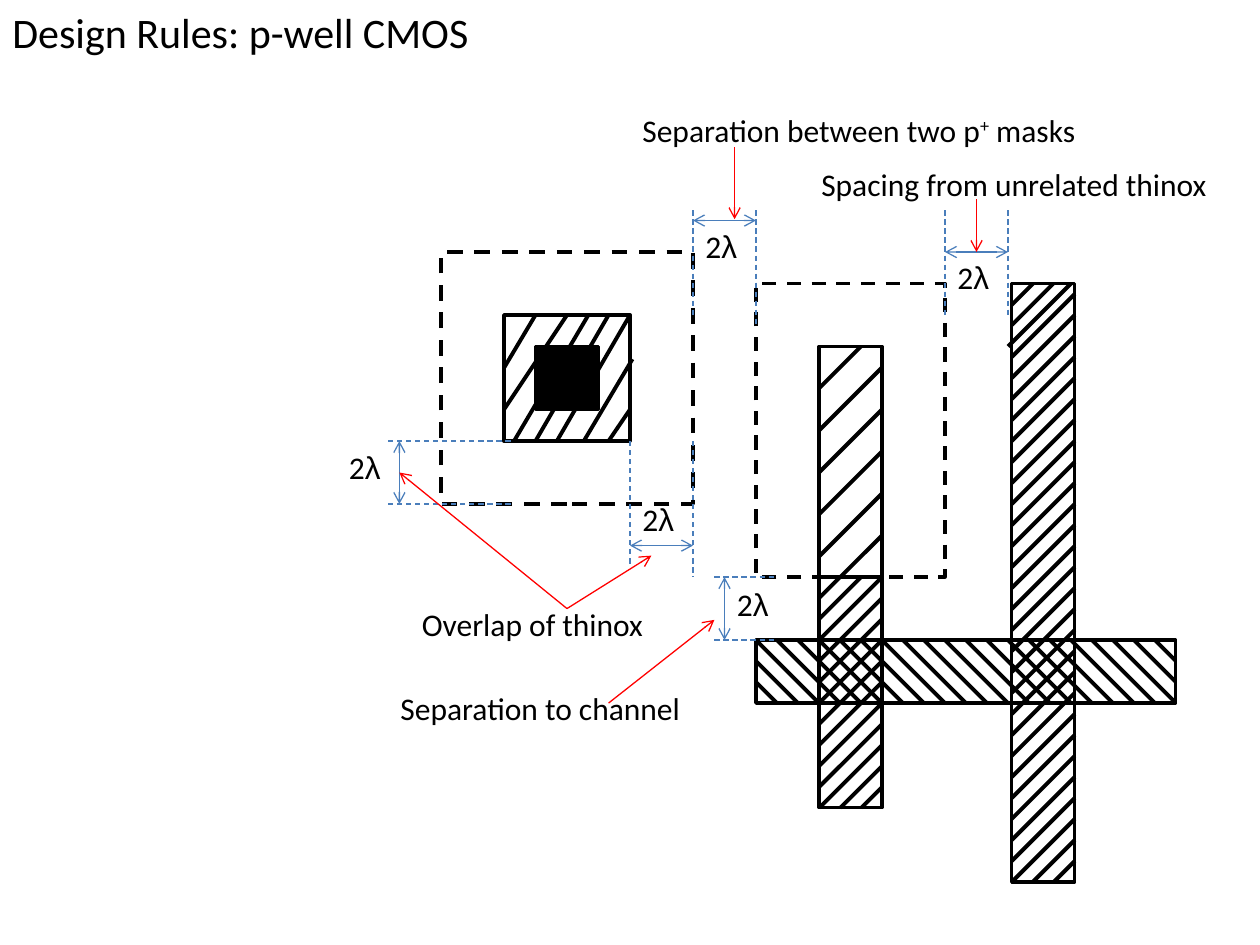
from typing import NamedTuple

from lxml import etree
from pptx import Presentation
from pptx.dml.color import RGBColor
from pptx.enum.dml import MSO_LINE_DASH_STYLE as Dash
from pptx.enum.shapes import MSO_CONNECTOR as Connector, MSO_SHAPE as Shape
from pptx.enum.text import MSO_AUTO_SIZE as AutoSize
from pptx.oxml.ns import qn
from pptx.util import Inches, Pt

COLORS = {"ink": "000000", "dimension": "4A7EBB", "callout": "FF0000"}
PITCH = 1 / 6


class Box(NamedTuple):
    left: float
    top: float
    width: float
    height: float


class Stroke(NamedTuple):
    color: str
    width: float
    dash: object = None
    head: bool = False
    tail: bool = False


class Line(NamedTuple):
    x1: float
    y1: float
    x2: float
    y2: float


class Span(NamedTuple):
    text: str
    font: str = "Calibri"
    baseline: int = 0


class Label(NamedTuple):
    box: Box
    spans: tuple[Span, ...]
    size: float = 18


class Bar(NamedTuple):
    box: Box
    first: float = PITCH
    pitch: float = PITCH
    falling: bool = False
    extra: tuple[Line, ...] = ()


HATCH = Stroke("ink", 2.25)
OUTLINE = Stroke("ink", 2)
GUIDE = Stroke("dimension", 0.75, Dash.DASH)
DIMENSION = Stroke("dimension", 0.75, head=True, tail=True)
CALLOUT = Stroke("callout", 0.75, tail=True)


def rgb(name: str) -> RGBColor:
    return RGBColor.from_string(COLORS[name])


def apply_stroke(line, stroke: Stroke) -> None:
    line.color.rgb = rgb(stroke.color)
    for name, value in {"width": Pt(stroke.width), "dash_style": stroke.dash}.items():
        setattr(line, name, value)


def draw_line(shapes, ends: Line, stroke: Stroke) -> None:
    connector = shapes.add_connector(Connector.STRAIGHT, *map(Inches, ends))
    apply_stroke(connector.line, stroke)
    properties = connector.line._get_or_add_ln()
    for tag, shown in (("a:headEnd", stroke.head), ("a:tailEnd", stroke.tail)):
        if shown:
            etree.SubElement(properties, qn(tag), type="arrow")
    etree.SubElement(connector._element.spPr, qn("a:effectLst"))


def draw_rectangle(shapes, box: Box, stroke: Stroke, fill: str = "") -> None:
    shape = shapes.add_shape(Shape.RECTANGLE, *map(Inches, box))
    shape.shadow.inherit = False
    if fill:
        shape.fill.solid()
        shape.fill.fore_color.rgb = rgb(fill)
    else:
        shape.fill.background()
    apply_stroke(shape.line, stroke)


def hatch_lines(bar: Bar) -> list[Line]:
    """Diagonals at 45 degrees, clipped to the bar."""
    left, top, width, height = bar.box
    lines = []
    offset = bar.first
    while offset < width + height - 0.05:
        down = min(offset, height)
        across = min(offset, width)
        y1, y2 = down, offset - across
        if bar.falling:
            y1, y2 = height - y1, height - y2
        lines.append(Line(left + offset - down, top + y1, left + across, top + y2))
        offset += bar.pitch
    return lines


def draw_group(shapes, box: Box, lines) -> None:
    group = shapes.add_group_shape()
    draw_rectangle(group.shapes, box, OUTLINE)
    for line in lines:
        draw_line(group.shapes, line, HATCH)


def draw_label(shapes, label: Label) -> None:
    frame = shapes.add_textbox(*map(Inches, label.box)).text_frame
    for name, value in {"word_wrap": True, "auto_size": AutoSize.SHAPE_TO_FIT_TEXT}.items():
        setattr(frame, name, value)
    para = frame.paragraphs[0]
    for span in label.spans:
        run = para.add_run()
        run.text = span.text
        for name, value in {"name": span.font, "size": Pt(label.size)}.items():
            setattr(run.font, name, value)
        run.font.color.rgb = rgb("ink")
        if span.baseline:
            run.font._element.set("baseline", str(span.baseline * 1000))


def two_lambda(left: float, top: float) -> Label:
    return Label(Box(left, top, 0.5, 0.4), (Span("2"), Span("λ", "Arial")))


CONTACT_LINES = (
    Line(4.42, 3.5, 5, 2.5), Line(4.25, 3.5, 4.83, 2.5), Line(4.08, 3.5, 4.67, 2.5),
    Line(4.64, 3.49, 5.02, 2.85), Line(4.83, 3.5, 5, 3.25),
    Line(4, 3.25, 4.5, 2.5), Line(4, 2.92, 4.25, 2.5),
)
BARS = (
    Bar(Box(6.5, 4.58, 0.5, 1.83)),
    Bar(Box(6.5, 2.75, 0.5, 1.83), first=2 * PITCH, pitch=2 * PITCH),
    Bar(Box(6, 5.08, 3.33, 0.5), falling=True),
    Bar(Box(8.03, 2.25, 0.5, 4.75), first=3.5 * PITCH, extra=(
        Line(8.03, 2.42, 8.2, 2.25), Line(8.03, 2.58, 8.36, 2.25),
        Line(8, 2.75, 8.5, 2.25))),
)
MASKS = ((Box(3.5, 2, 2, 2), 2.25), (Box(6, 2.25, 1.5, 2.33), 2))
GUIDES = (
    Line(5.5, 1.67, 5.5, 2.5), Line(6, 1.67, 6, 2.58),
    Line(3.08, 3.5, 4.08, 3.5), Line(3.08, 4, 4.08, 4),
    Line(5, 3.5, 5, 4.5), Line(5.5, 3.5, 5.5, 4.58),
    Line(5.67, 4.58, 6.17, 4.58), Line(5.67, 5.08, 6.17, 5.08),
    Line(7.5, 1.67, 7.5, 2.5), Line(8, 1.67, 8, 2.5),
)
DIMENSIONS = (
    Line(5.5, 1.75, 6, 1.75), Line(8, 2, 7.5, 2), Line(3.17, 4, 3.17, 3.5),
    Line(5.5, 4.33, 5, 4.33), Line(5.75, 5.08, 5.75, 4.58),
)
CALLOUTS = (
    Line(4.83, 5.58, 5.67, 4.92), Line(5.83, 1.17, 5.83, 1.74),
    Line(7.75, 1.58, 7.75, 2), Line(4.5, 4.83, 3.17, 3.75),
    Line(4.5, 4.83, 5.17, 4.41),
)
LABELS = (
    two_lambda(5.5, 1.75), two_lambda(2.67, 3.51), two_lambda(5, 3.92),
    two_lambda(5.75, 4.59), two_lambda(7.5, 2),
    Label(Box(3.08, 5.42, 2.5, 0.4), (Span("Separation to channel"),)),
    Label(Box(5, 0.83, 4.08, 0.4), (
        Span("Separation between two p"), Span("+", baseline=30), Span(" masks"))),
    Label(Box(6.42, 1.26, 3.33, 0.4), (Span("Spacing from unrelated thinox"),)),
    Label(Box(3.25, 4.75, 2.5, 0.4), (Span("Overlap of thinox"),)),
    Label(Box(0, 0, 4.67, 0.5), (Span("Design Rules: p-well CMOS"),), 24),
)


def main() -> None:
    deck = Presentation()
    deck.slide_width, deck.slide_height = Inches(10), Inches(7.5)
    page = deck.slides.add_slide(deck.slide_layouts[6])
    shapes = page.shapes

    # p+ masks and the contact cut
    for box, width in MASKS:
        draw_rectangle(shapes, box, Stroke("ink", width, Dash.DASH))
    draw_group(shapes, Box(4, 2.5, 1, 1), CONTACT_LINES)
    draw_rectangle(shapes, Box(4.25, 2.75, 0.5, 0.5), OUTLINE, "ink")
    draw_line(shapes, Line(5, 2.5, 5, 3.5), HATCH)

    # Hatched thinox and polysilicon bars
    for bar in BARS:
        draw_group(shapes, bar.box, [*bar.extra, *hatch_lines(bar)])

    # Guides, dimensions and callout arrows
    for lines, stroke in ((GUIDES, GUIDE), (DIMENSIONS, DIMENSION), (CALLOUTS, CALLOUT)):
        for line in lines:
            draw_line(shapes, line, stroke)

    # Wording
    for label in LABELS:
        draw_label(shapes, label)

    deck.save("out.pptx")


if __name__ == "__main__":
    main()
